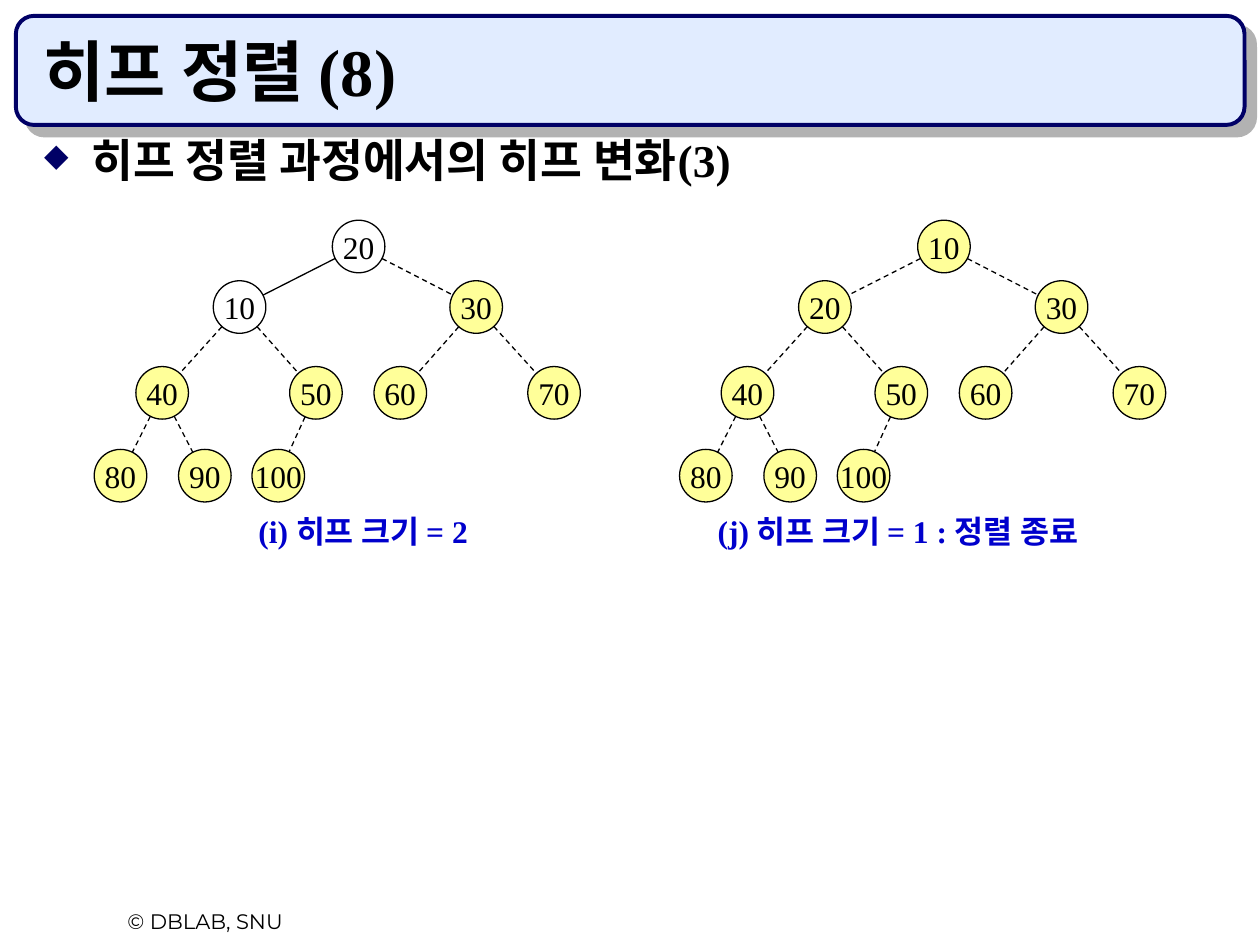
from math import hypot

from lxml import etree
from pptx import Presentation
from pptx.dml.color import RGBColor
from pptx.enum.dml import MSO_LINE
from pptx.enum.shapes import MSO_CONNECTOR, MSO_SHAPE
from pptx.enum.text import MSO_ANCHOR, PP_ALIGN
from pptx.oxml import parse_xml
from pptx.oxml.ns import nsdecls, qn
from pptx.util import Cm, Pt

DASH = MSO_LINE.DASH
LINE = MSO_CONNECTOR.STRAIGHT
OVAL, ROUND = MSO_SHAPE.OVAL, MSO_SHAPE.ROUNDED_RECTANGLE
TOP, MIDDLE, BOTTOM = MSO_ANCHOR.TOP, MSO_ANCHOR.MIDDLE, MSO_ANCHOR.BOTTOM
LEFT, CENTER = PP_ALIGN.LEFT, PP_ALIGN.CENTER

COLORS = {
    "ink": "000000", "navy": "000066", "blue": "0000CC",
    "band": "E1ECFF", "shade": "B2B2B2", "done": "FFFF99",
}
SERIF, SANS = "Times New Roman", "Montserrat"

# Node corners in cm from the tree's corner, in heap order
SPOTS = [
    (4.8, 0),
    (2.4, 1.22), (7.17, 1.22),
    (0.84, 2.95), (3.94, 2.95), (5.64, 2.95), (8.74, 2.95),
    (0, 4.62), (1.7, 4.62), (3.18, 4.62),
]
SIZE = 1.06


def color(name):
    return RGBColor.from_string(COLORS[name])


def style(par, size, tint="ink", bold=False, face=SERIF, align=LEFT):
    par.alignment = align
    font = par.font
    font.name, font.size, font.bold = face, Pt(size), bold
    font.color.rgb = color(tint)


def add_text(slide, box, text, anchor=TOP):
    """Add a wrapped text box and return its paragraph."""
    frame = slide.shapes.add_textbox(*map(Cm, box)).text_frame
    frame.word_wrap = True
    frame.vertical_anchor = anchor
    par = frame.paragraphs[0]
    par.text = text
    return par


def add_shade(shape):
    """Cast a hard shadow to the lower right."""
    shape.shadow.inherit = False
    effects = shape._element.spPr.find(qn("a:effectLst"))
    effects.append(parse_xml(
        f'<a:outerShdw {nsdecls("a")} dist="107950" dir="2700000" algn="ctr" '
        f'rotWithShape="0"><a:srgbClr val="{COLORS["shade"]}"/></a:outerShdw>'))


def add_bullet(par):
    props = par._p.get_or_add_pPr()
    props.set("marL", str(Cm(0.95)))
    props.set("indent", str(-Cm(0.95)))
    tint = etree.SubElement(props, qn("a:buClr"))
    etree.SubElement(tint, qn("a:srgbClr"), val=COLORS["navy"])
    etree.SubElement(props, qn("a:buSzPct"), val="70000")
    etree.SubElement(props, qn("a:buChar"), char="◆")


def add_title(slide, box, text):
    left, top, width, height = box
    band = slide.shapes.add_shape(ROUND, *map(Cm, box))
    band.adjustments[0] = 0.167
    band.fill.solid()
    band.fill.fore_color.rgb = color("band")
    band.line.color.rgb = color("navy")
    band.line.width = Pt(2.25)
    add_shade(band)
    inner = (left + 0.31, top + 0.31, width - 0.85, height - 0.5)
    style(add_text(slide, inner, text, BOTTOM), 38, bold=True)


def add_topic(slide, box, text):
    par = add_text(slide, box, text)
    par.line_spacing = 0.8
    add_bullet(par)
    style(par, 26, bold=True)


def add_node(group, left, top, key, live):
    node = group.shapes.add_shape(OVAL, Cm(left), Cm(top), Cm(SIZE), Cm(SIZE))
    node.shadow.inherit = False
    if live:
        node.fill.background()
    else:
        node.fill.solid()
        node.fill.fore_color.rgb = color("done")
    node.line.color.rgb = color("ink")
    node.line.width = Pt(0.75)
    frame = node.text_frame
    frame.word_wrap = False
    frame.vertical_anchor = MIDDLE
    par = frame.paragraphs[0]
    par.text = str(key)
    style(par, 18, align=CENTER)


def add_edge(group, start, end, live):
    """Join two nodes, given by their corners, from rim to rim."""
    (x1, y1), (x2, y2) = start, end
    half = SIZE / 2
    far = hypot(x2 - x1, y2 - y1)
    dx, dy = (x2 - x1) / far * half, (y2 - y1) / far * half
    ends = (x1 + half + dx, y1 + half + dy, x2 + half - dx, y2 + half - dy)
    edge = group.shapes.add_connector(LINE, *map(Cm, ends))
    edge.line.color.rgb = color("ink")
    edge.line.width = Pt(0.75)
    if not live:
        edge.line.dash_style = DASH
    etree.SubElement(edge._element.spPr, qn("a:effectLst"))


def add_heap(slide, left, top, keys, live):
    """Draw a heap whose first `live` keys are still unsorted."""
    group = slide.shapes.add_group_shape()
    spots = [(left + x, top + y) for x, y in SPOTS]
    for i, (spot, key) in enumerate(zip(spots, keys)):
        add_node(group, *spot, key, i < live)
        if i:
            add_edge(group, spots[(i - 1) // 2], spot, i < live)


def add_label(slide, box, text):
    style(add_text(slide, box, text), 18, "blue", True, align=CENTER)


def add_footer(slide, box, text):
    style(add_text(slide, box, text), 12, face=SANS, align=CENTER)


def main():
    deck = Presentation()
    deck.slide_width, deck.slide_height = Cm(25.4), Cm(19.05)
    slide = deck.slides.add_slide(deck.slide_layouts[6])
    add_title(slide, (0.32, 0.32, 24.77, 2.2), "히프 정렬 (8)")
    add_footer(slide, (1.06, 18.2, 6.15, 0.77), "© DBLAB, SNU")
    add_topic(slide, (0.64, 2.75, 23.92, 14.8), "히프 정렬 과정에서의 히프 변화(3)")

    rest = list(range(30, 101, 10))
    add_heap(slide, 1.9, 4.44, [20, 10] + rest, 2)
    add_label(slide, (1.92, 10.2, 10.8, 1.02), "(i) 히프 크기 = 2")
    add_heap(slide, 13.7, 4.44, [10, 20] + rest, 0)
    add_label(slide, (12.7, 10.2, 10.8, 1.02), "(j) 히프 크기 = 1 : 정렬 종료")
    deck.save("out.pptx")


if __name__ == "__main__":
    main()
